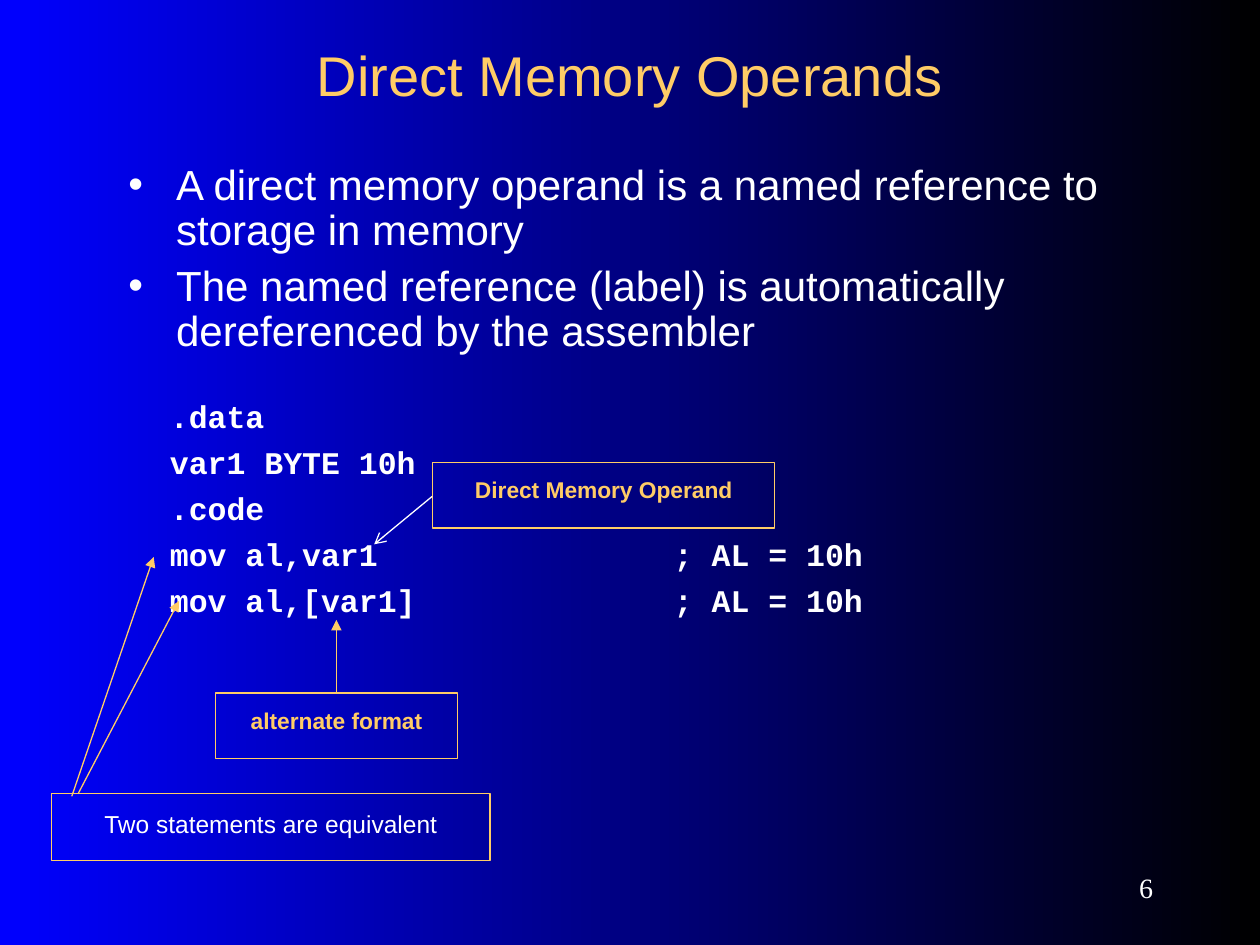
from lxml.etree import SubElement
from pptx import Presentation
from pptx.dml.color import RGBColor
from pptx.enum.shapes import MSO_CONNECTOR, MSO_SHAPE
from pptx.enum.text import MSO_ANCHOR, MSO_AUTO_SIZE, PP_ALIGN
from pptx.oxml.ns import qn
from pptx.util import Pt

SCALE = 9144
GOLD, WHITE, BLUE, BLACK = "FFCC66", "FFFFFF", "0000FF", "000000"


def px(length):
    return length * SCALE


def color(code):
    return RGBColor.from_string(code)


def write(box, text, size, ink=WHITE, font="Arial", bold=False,
          align=PP_ALIGN.LEFT, anchor=MSO_ANCHOR.TOP, inset_top=5,
          inset_bottom=5, spacing=None, before=0, hanging=0, tab=None):
    frame = box.text_frame
    frame.word_wrap = True
    frame.vertical_anchor = anchor
    frame.margin_left = frame.margin_right = px(10)
    frame.margin_top, frame.margin_bottom = px(inset_top), px(inset_bottom)
    for index, line in enumerate(text.split("\n")):
        para = frame.add_paragraph() if index else frame.paragraphs[0]
        para.alignment = align
        para.line_spacing = spacing
        para.space_before = Pt(before if index else 0)
        properties = para._p.get_or_add_pPr()
        if hanging:
            properties.set("marL", str(px(hanging)))
            properties.set("indent", str(-px(hanging)))
            SubElement(properties, qn("a:buFont"), typeface="Arial")
            SubElement(properties, qn("a:buChar"), char="•")
        if tab:
            stops = SubElement(properties, qn("a:tabLst"))
            SubElement(stops, qn("a:tab"), pos=str(px(tab)), algn="l")
        span = para.add_run()
        span.text = line
        span.font.size = Pt(size)
        span.font.name = font
        span.font.bold = bold
        span.font.color.rgb = color(ink)


def add_text(page, left, top, width, height, text, size, **style):
    box = page.shapes.add_textbox(px(left), px(top), px(width), px(height))
    write(box, text, size, **style)


def add_callout(page, left, top, width, height, text, size, **style):
    box = page.shapes.add_shape(
        MSO_SHAPE.RECTANGLE, px(left), px(top), px(width), px(height))
    box.shadow.inherit = False
    box.fill.background()
    box.line.color.rgb = color(GOLD)
    box.line.width = Pt(0.75)
    write(box, text, size, align=PP_ALIGN.CENTER, inset_top=15,
          inset_bottom=15, **style)
    box.text_frame.auto_size = MSO_AUTO_SIZE.SHAPE_TO_FIT_TEXT


def add_arrow(page, left, top, run, rise, ink=GOLD, head="triangle"):
    arrow = page.shapes.add_connector(
        MSO_CONNECTOR.STRAIGHT, px(left), px(top),
        px(left + run), px(top - rise))
    arrow.line.color.rgb = color(ink)
    arrow.line.width = Pt(0.75)
    SubElement(arrow.line._get_or_add_ln(), qn("a:tailEnd"), type=head)
    SubElement(arrow._element.spPr, qn("a:effectLst"))


def paint_background(page):
    fill = page.background.fill
    fill.gradient()
    fill.gradient_angle = 0
    for stop, code, position in zip(fill.gradient_stops, (BLUE, BLACK), (0, 1)):
        stop.color.rgb = color(code)
        stop.position = position


def add_heading(page, left, top, width, height):
    add_text(page, left, top, width, height, "Direct Memory Operands", 32,
             ink=GOLD, align=PP_ALIGN.CENTER, anchor=MSO_ANCHOR.MIDDLE)


def add_points(page, left, top, width, height):
    points = (
        "A direct memory operand is a named reference to storage in memory\n"
        "The named reference (label) is automatically dereferenced by the assembler"
    )
    add_text(page, left, top, width, height, points, 24,
             spacing=0.9, before=6, hanging=38)


def add_code(page, left, top, width, height):
    code = (
        ".data\n"
        "var1 BYTE 10h\n"
        ".code\n"
        "mov al,var1\t; AL = 10h\n"
        "mov al,[var1]\t; AL = 10h"
    )
    add_text(page, left, top, width, height, code, 18, font="Courier New",
             bold=True, inset_top=15, inset_bottom=25, spacing=0.7,
             before=11.2, tab=400)


def add_operand_note(page, left, top, width, height):
    add_callout(page, left, top, width, height, "Direct Memory Operand", 13,
                ink=GOLD, bold=True)
    add_arrow(page, left, top + 27, -46, -38, ink=WHITE, head="arrow")


def add_format_note(page, left, top, width, height):
    add_arrow(page, left + width // 2, top, 0, 58)
    add_callout(page, left, top, width, height, "alternate format", 13,
                ink=GOLD, bold=True)


def add_equivalence_note(page, left, top, width, height):
    add_callout(page, left, top, width, height,
                "Two statements are equivalent", 14)
    add_arrow(page, left + 16, top + 2, 65, 190)
    add_arrow(page, left + 21, top, 80, 153)


def add_page_number(page, left, top, width, height):
    add_text(page, left, top, width, height, "6", 16, font="Times New Roman",
             align=PP_ALIGN.RIGHT, anchor=MSO_ANCHOR.MIDDLE)


def main():
    deck = Presentation()
    deck.slide_width, deck.slide_height = px(1000), px(750)
    page = deck.slides.add_slide(deck.slide_layouts[6])
    paint_background(page)
    add_page_number(page, 817, 683, 108, 42)
    add_heading(page, 75, 25, 850, 67)
    add_points(page, 92, 125, 887, 175)
    add_code(page, 125, 308, 750, 200)
    add_format_note(page, 171, 550, 192, 52)
    add_operand_note(page, 343, 367, 272, 52)
    add_equivalence_note(page, 41, 630, 348, 53)
    deck.save("out.pptx")


if __name__ == "__main__":
    main()
